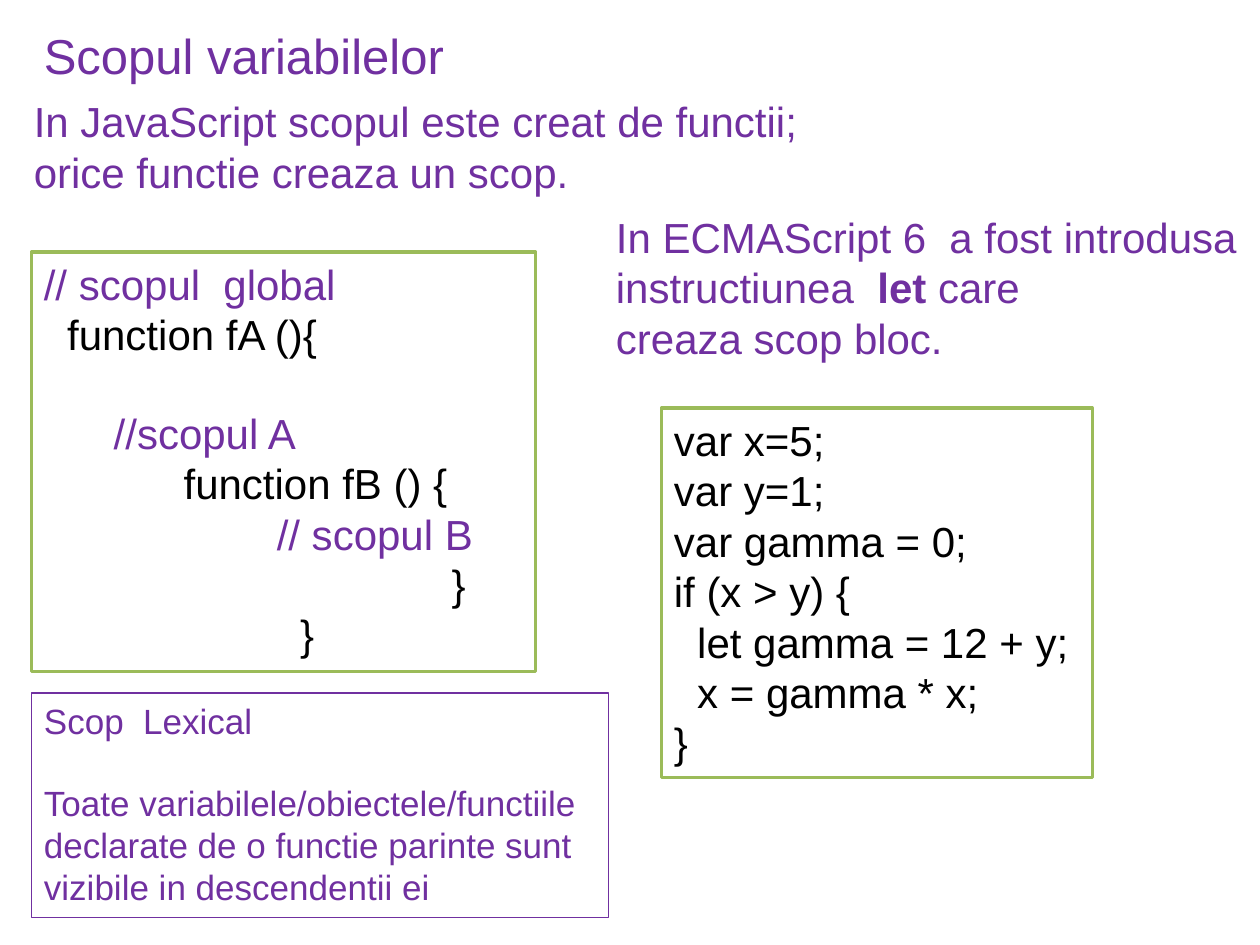
import pptx
import pptx.dml.color
import pptx.enum.shapes
import pptx.enum.text
import pptx.util
from pptx.util import Inches

PURPLE, BLACK, GREEN, WHITE = "7030A0", "000000", "9BBB59", "FFFFFF"


def colour(hex_text):
    return pptx.dml.color.RGBColor.from_string(hex_text)


class SlideBuilder:
    font_name = "Arial"
    line_height = 1.15

    def __init__(self, slide):
        self.slide = slide

    def add_lines(self, shape, lines, size, ink):
        """Each line is a list of (text, overrides) runs; None leaves a one-line gap."""
        frame = shape.text_frame
        frame.word_wrap = True
        frame.vertical_anchor = pptx.enum.text.MSO_ANCHOR.TOP
        paragraph, gap = None, 0
        for line in lines:
            if line is None:
                gap = size * self.line_height
                continue
            paragraph = frame.add_paragraph() if paragraph else frame.paragraphs[0]
            paragraph.alignment = pptx.enum.text.PP_ALIGN.LEFT
            if gap:
                paragraph.space_before = pptx.util.Pt(gap)
                gap = 0
            for text, overrides in line:
                run = paragraph.add_run()
                run.text = text
                run.font.name = self.font_name
                run.font.size = pptx.util.Pt(size)
                run.font.bold = overrides.get("bold", False)
                run.font.color.rgb = colour(overrides.get("ink", ink))

    def text(self, left, top, width, height, lines, size=24, ink=PURPLE):
        box = self.slide.shapes.add_textbox(
            Inches(left), Inches(top), Inches(width), Inches(height))
        self.add_lines(box, lines, size, ink)

    def panel(self, left, top, width, height, lines, size=24, ink=BLACK,
              fill=WHITE, border=GREEN, border_width=2):
        box = self.slide.shapes.add_shape(
            pptx.enum.shapes.MSO_SHAPE.RECTANGLE,
            Inches(left), Inches(top), Inches(width), Inches(height))
        box.shadow.inherit = False
        if fill:
            box.fill.solid()
            box.fill.fore_color.rgb = colour(fill)
        else:
            box.fill.background()
        box.line.color.rgb = colour(border)
        box.line.width = pptx.util.Pt(border_width)
        self.add_lines(box, lines, size, ink)


def plain(*texts):
    """Lines of a single unstyled run each."""
    return [[(text, {})] for text in texts]


def main():
    deck = pptx.Presentation()
    deck.slide_width, deck.slide_height = Inches(10), Inches(7.5)
    builder = SlideBuilder(deck.slides.add_slide(deck.slide_layouts[6]))

    comment = {"ink": PURPLE}
    nested_scopes = [
        [("// scopul  global", comment)],
        [("  function fA (){", {})],
        None,
        [("      //scopul A", comment)],
        [("            function fB () {", {})],
        [("                    // scopul B", comment)],
        [("                                   }", {})],
        [("                      }", {})],
    ]
    builder.panel(0.25, 2, 4, 3.33, nested_scopes)

    lexical_scope = plain("Scop  Lexical") + [None] + plain(
        "Toate variabilele/obiectele/functiile",
        "declarate de o functie parinte sunt",
        "vizibile in descendentii ei")
    builder.panel(0.25, 5.5, 4.58, 1.78, lexical_scope, size=20, ink=PURPLE,
                  fill=None, border=PURPLE, border_width=0.75)

    builder.text(0.25, 0.15, 3.53, 0.57, plain("Scopul variabilelor"), size=28)

    block_scope = plain(
        "var x=5;",
        "var y=1;",
        "var gamma = 0;",
        "if (x > y) {",
        "  let gamma = 12 + y;",
        "  x = gamma * x;",
        "}")
    builder.panel(5.25, 3.24, 3.42, 2.93, block_scope)

    builder.text(0.17, 0.71, 9.92, 0.91, plain(
        "In JavaScript scopul este creat de functii;",
        "orice functie creaza un scop."))

    let_statement = [
        [("In ECMAScript 6  a fost introdusa", {})],
        [("instructiunea  ", {}), ("let", {"bold": True}), (" care", {})],
        [("creaza scop bloc.", {})],
    ]
    builder.text(4.79, 1.63, 5.27, 1.62, let_statement)

    deck.save("out.pptx")


if __name__ == "__main__":
    main()
